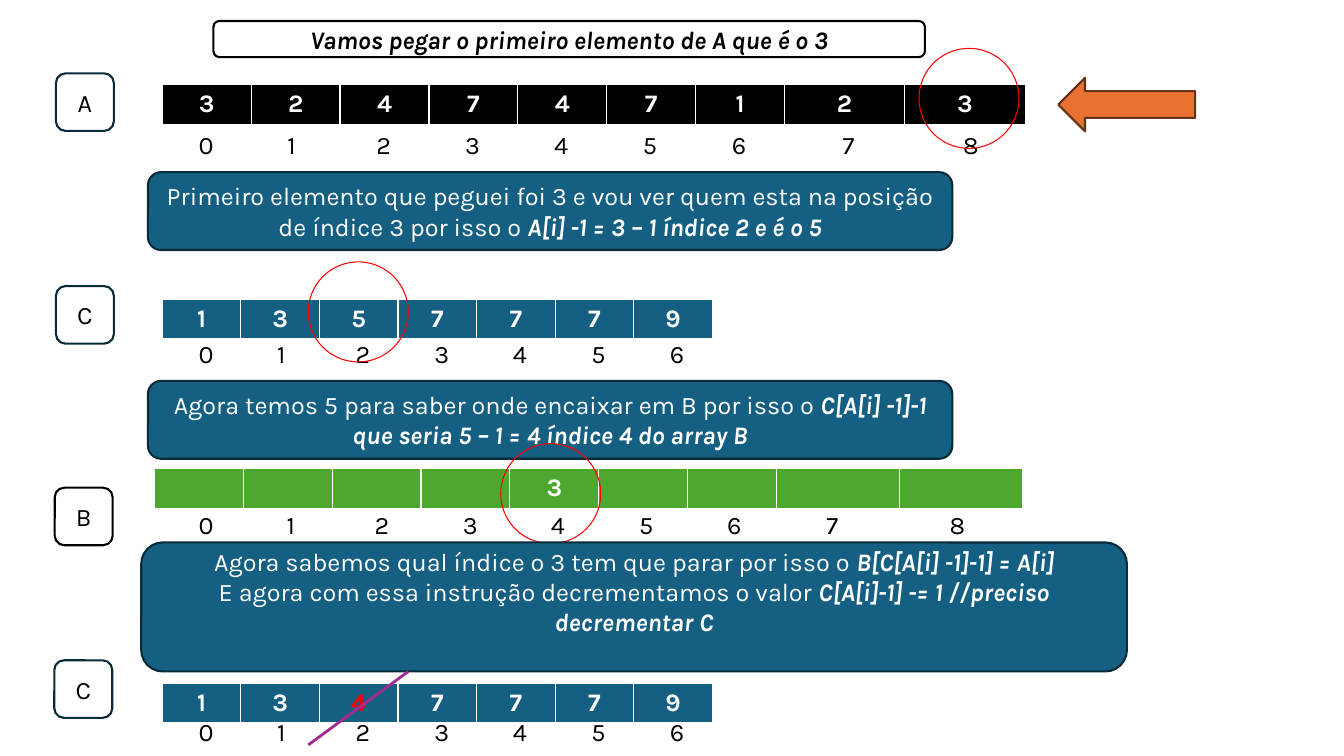
from lxml.etree import SubElement
from pptx import Presentation
from pptx.dml.color import RGBColor
from pptx.enum.shapes import MSO_CONNECTOR as Connector, MSO_SHAPE as Preset
from pptx.enum.text import MSO_ANCHOR as Anchor, PP_ALIGN as Align
from pptx.oxml.ns import qn
from pptx.util import Cm, Pt

COLOURS = {
    "black": "000000", "white": "FFFFFF", "blue": "156082", "navy": "092A39",
    "green": "4EA72E", "red": "FF0000", "orange": "E97132", "brown": "663216",
    "purple": "A02B93",
}
BORDER_WIDTHS = {"a:lnL": Pt(1), "a:lnR": Pt(1), "a:lnT": Pt(1), "a:lnB": Pt(3)}
ROW_HEIGHT = 1.03


def colour(name):
    """Return the named palette colour."""
    return RGBColor.from_string(COLOURS[name])


def add_run(paragraph, text, ink, bold=False, italic=False):
    """Append one formatted run."""
    run = paragraph.add_run()
    run.text = text
    run.font.name, run.font.size = "Karla", Pt(18)
    run.font.bold, run.font.italic = bold, italic
    run.font.color.rgb = colour(ink)


def set_borders(cell, visible):
    """Give a cell white borders, or none."""
    for side, width in BORDER_WIDTHS.items():
        border = SubElement(cell._tc.get_or_add_tcPr(), qn(side), w=str(width))
        if visible:
            paint = SubElement(border, qn("a:solidFill"))
            SubElement(paint, qn("a:srgbClr"), val=COLOURS["white"])
        else:
            SubElement(border, qn("a:noFill"))


def add_row(slide, left, top, column, values, fill=None, marked=None):
    """Add a one-row table: filled array cells, or plain indices without a fill."""
    frame = slide.shapes.add_table(1, len(values), Cm(left), Cm(top),
                                   Cm(column * len(values)), Cm(ROW_HEIGHT))
    row = frame.table
    row.first_row = row.horz_banding = False
    for position, value in enumerate(values):
        row.columns[position].width = Cm(column)
        cell = row.cell(0, position)
        set_borders(cell, visible=bool(fill))
        if fill:
            cell.fill.solid()
            cell.fill.fore_color.rgb = colour(fill)
        else:
            cell.fill.background()
        paragraph = cell.text_frame.paragraphs[0]
        paragraph.alignment = Align.CENTER if fill else Align.LEFT
        if value != " ":
            ink = "white" if fill else "black"
            add_run(paragraph, value, "red" if position == marked else ink, bold=bool(fill))


def add_outline(slide, preset, box, line, fill=None, weight=1.5):
    """Add a preset shape with an outline and an optional fill."""
    shape = slide.shapes.add_shape(preset, *map(Cm, box))
    shape.shadow.inherit = False
    shape.line.color.rgb = colour(line)
    shape.line.width = Pt(weight)
    if fill:
        shape.fill.solid()
        shape.fill.fore_color.rgb = colour(fill)
    else:
        shape.fill.background()
    return shape


def add_panel(slide, box, paragraphs, ink, line, fill=None, bottom=0.13):
    """Add a rounded box of centred text; each run is (text, emphasis)."""
    frame = add_outline(slide, Preset.ROUNDED_RECTANGLE, box, line, fill).text_frame
    frame.word_wrap = True
    frame.vertical_anchor = Anchor.MIDDLE
    frame.margin_bottom = Cm(bottom)
    for order, runs in enumerate(paragraphs):
        paragraph = frame.add_paragraph() if order else frame.paragraphs[0]
        paragraph.alignment = Align.CENTER
        for text, emphasis in runs:
            add_run(paragraph, text, ink, emphasis, emphasis)


def add_label(slide, left, top, letter, line="navy", fill=None):
    """Add the box that names an array."""
    add_panel(slide, (left, top, 1.46, 1.45), [[(letter, False)]], "black", line, fill)


def add_note(slide, box, paragraphs, bottom=0.13):
    """Add a blue explanation box."""
    add_panel(slide, box, paragraphs, "white", "navy", "blue", bottom)


def add_ring(slide, left, top):
    """Circle an element in red."""
    add_outline(slide, Preset.OVAL, (left, top, 2.52, 2.52), "red", weight=0.75)


def add_strike(slide, start, end):
    """Draw the line that crosses out a value."""
    strike = slide.shapes.add_connector(Connector.STRAIGHT, *map(Cm, start + end))
    strike.line.color.rgb = colour("purple")
    strike.line.width = Pt(2)
    SubElement(strike._element.spPr, qn("a:effectLst"))


def main():
    """Build the counting sort step and save it."""
    deck = Presentation()
    deck.slide_width, deck.slide_height = Cm(33.87), Cm(19.05)
    slide = deck.slides.add_slide(deck.slide_layouts[6])

    add_row(slide, 4.09, 2.13, 2.24, "3247471", "black")
    add_row(slide, 19.76, 2.13, 3.04, "23", "black")
    add_row(slide, 4.75, 3.18, 2.24, "0123456")
    add_row(slide, 20.98, 3.18, 3.04, "78")
    add_row(slide, 4.09, 7.54, 1.98, "1357779", "blue")
    add_row(slide, 4.75, 8.46, 1.98, "0123456")
    add_label(slide, 1.41, 1.85, "A")
    add_label(slide, 1.38, 12.29, "B", "black", "white")
    add_label(slide, 1.41, 7.21, "C")
    add_row(slide, 3.89, 11.81, 2.24, "    3  ", "green")
    add_row(slide, 19.56, 11.81, 3.11, "  ", "green")
    add_row(slide, 4.75, 12.75, 2.22, "0123456")
    add_row(slide, 20.57, 12.75, 3.11, "78")

    add_panel(slide, (5.38, 0.53, 17.93, 0.91),
              [[("Vamos pegar o primeiro elemento de A que é o 3", True)]],
              "black", "black", "white")
    add_ring(slide, 23.16, 1.22)
    add_outline(slide, Preset.LEFT_ARROW, (26.67, 1.96, 3.45, 1.35), "brown", "orange")
    add_note(slide, (3.73, 4.34, 20.27, 1.96), [[
        ("Primeiro elemento que peguei foi 3 e vou ver quem esta na posição "
         "de índice 3 por isso o ", False),
        ("A[i] -1 = 3 – 1 índice 2 e é o 5", True)]])
    add_ring(slide, 7.77, 6.6)
    add_note(slide, (3.73, 9.6, 20.27, 1.96), [[
        ("Agora temos 5 para saber onde encaixar em B por isso o ", False),
        ("C[A[i] -1]-1 que seria 5 – 1 = 4 índice 4 do array B", True)]])
    add_ring(slide, 12.62, 11.18)
    add_note(slide, (3.56, 13.67, 24.84, 3.25), [
        [("Agora sabemos qual índice o 3 tem que parar por isso o ", False),
         ("B[C[A[i] -1]-1] = A[i]", True)],
        [("E agora com essa instrução decrementamos o valor ", False),
         ("C[A[i]-1] -= 1 //preciso decrementar C", True)]], bottom=0.9)

    add_row(slide, 4.09, 17.22, 1.98, "1347779", "blue", marked=2)
    add_row(slide, 4.75, 17.98, 1.98, "0123456")
    add_label(slide, 1.37, 16.64, "C")
    add_strike(slide, (7.77, 18.77), (10.29, 16.92))
    deck.save("out.pptx")


if __name__ == "__main__":
    main()
